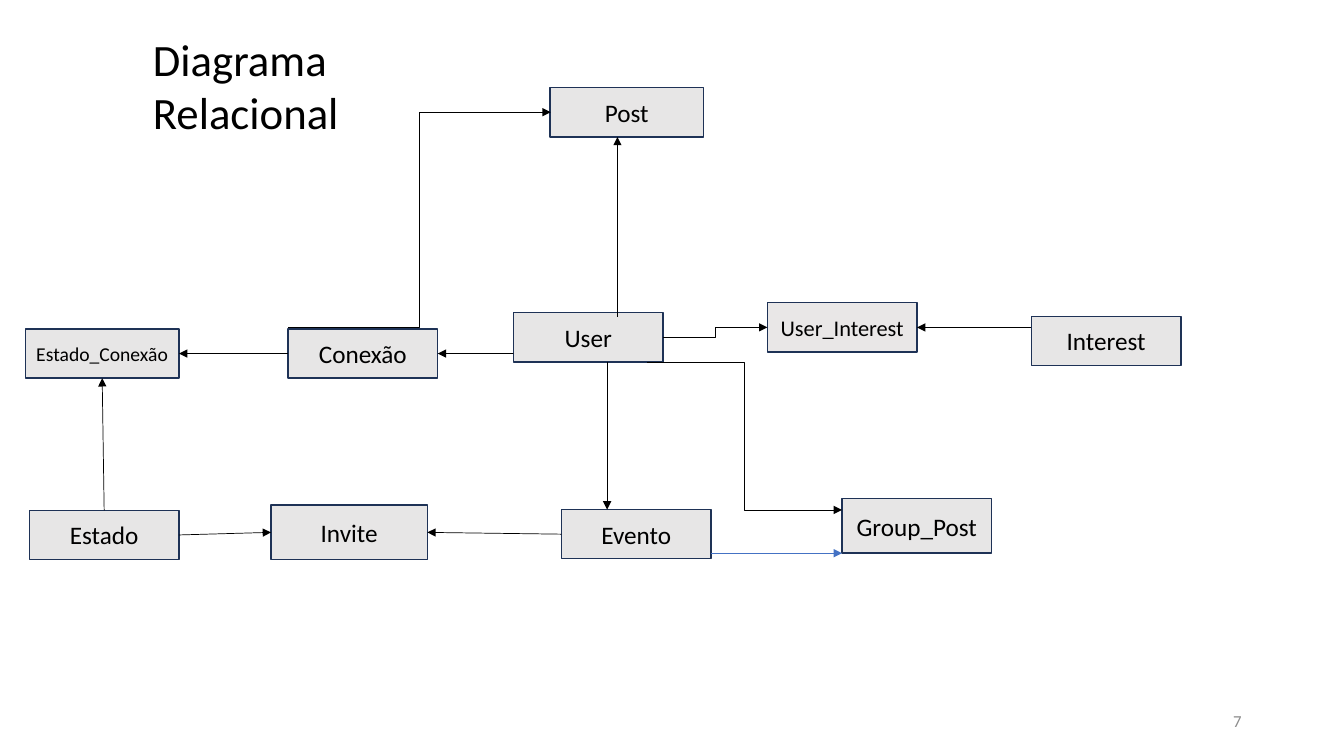
from lxml import etree
from pptx import Presentation
from pptx.dml.color import RGBColor
from pptx.enum.shapes import MSO_CONNECTOR, MSO_SHAPE
from pptx.enum.text import MSO_ANCHOR, MSO_AUTO_SIZE, PP_ALIGN
from pptx.oxml.ns import qn
from pptx.util import Cm, Pt

RECT = MSO_SHAPE.RECTANGLE
STRAIGHT, ELBOW = MSO_CONNECTOR.STRAIGHT, MSO_CONNECTOR.ELBOW
LEFT, CENTER, RIGHT = PP_ALIGN.LEFT, PP_ALIGN.CENTER, PP_ALIGN.RIGHT
TOP, MIDDLE = MSO_ANCHOR.TOP, MSO_ANCHOR.MIDDLE
N, W, S, E = range(4)  # connection sites of a rectangle

BLACK = RGBColor(0x00, 0x00, 0x00)
GRAY = RGBColor(0x8C, 0x8C, 0x8C)
BOX_FILL = RGBColor(0xE7, 0xE6, 0xE6)
INTEREST_FILL = RGBColor(0xE9, 0xE7, 0xE7)
BOX_LINE = RGBColor(0x1E, 0x32, 0x56)
BLUE = RGBColor(0x44, 0x72, 0xC4)

BOX_W, WIDE_W, BOX_H, TALL_H = 3.77, 3.87, 1.24, 1.37

# Tables: name, left, top, width, height, font size, fill (cm inside the diagram)
TABLES = [
    ("User_Interest", 18.7, 5.42, BOX_W, BOX_H, 16, INTEREST_FILL),
    ("User", 12.3, 5.67, BOX_W, BOX_H, 18, BOX_FILL),
    ("Conexão", 6.62, 6.08, BOX_W, BOX_H, 18, BOX_FILL),
    ("Estado", 0.1, 10.65, BOX_W, BOX_H, 18, BOX_FILL),
    ("Invite", 6.19, 10.52, 3.94, TALL_H, 18, BOX_FILL),
    ("Evento", 13.51, 10.63, BOX_W, BOX_H, 18, BOX_FILL),
    ("Group_Post", 20.58, 10.36, BOX_W, TALL_H, 18, BOX_FILL),
    ("Interest", 25.35, 5.76, BOX_W, BOX_H, 18, BOX_FILL),
    ("Estado_Conexão", 0, 6.08, WIDE_W, BOX_H, 14, BOX_FILL),
    ("Post", 13.22, 0, WIDE_W, BOX_H, 18, BOX_FILL),
]

# Relations: kind, start, end, colour; an end is (table, site) or a point
RELATIONS = [
    (STRAIGHT, (14.92, 5.77), (14.92, 1.24), BLACK),
    (ELBOW, (6.62, 6.04), (13.24, 0.62), BLACK),
    (STRAIGHT, (12.3, 6.7), ("Conexão", E), BLACK),
    (ELBOW, ("User", E), ("User_Interest", W), BLACK),
    (STRAIGHT, (25.35, 6.04), ("User_Interest", E), BLACK),
    (STRAIGHT, ("Conexão", W), ("Estado_Conexão", E), BLACK),
    (STRAIGHT, ("Estado", N), ("Estado_Conexão", S), BLACK),
    (STRAIGHT, ("Estado", E), ("Invite", W), BLACK),
    (STRAIGHT, ("Evento", W), ("Invite", E), BLACK),
    (STRAIGHT, (14.66, 6.91), (14.66, 10.63), BLACK),
    (ELBOW, (15.67, 6.91), (20.58, 10.64), BLACK),
    (STRAIGHT, (17.28, 11.73), (20.58, 11.73), BLUE),
]


def write(sp, text, size=18, color=BLACK, align=CENTER, anchor=MIDDLE):
    tf = sp.text_frame
    tf.word_wrap = True
    tf.auto_size = MSO_AUTO_SIZE.NONE
    tf.vertical_anchor = anchor
    for i, line in enumerate(text.split("\n")):
        p = tf.add_paragraph() if i else tf.paragraphs[0]
        p.alignment = align
        r = p.add_run()
        r.text = line
        r.font.size = Pt(size)
        r.font.name = "Calibri"
        r.font.color.rgb = color


def add_title(s, left, top, width, height):
    sp = s.shapes.title
    sp.left, sp.top, sp.width, sp.height = map(Cm, (left, top, width, height))
    write(sp, "Diagrama\nRelacional", size=32, align=LEFT, anchor=TOP)


def add_table_box(s, left, top, width, height, name, size, fill):
    sp = s.shapes.add_shape(RECT, Cm(left), Cm(top), Cm(width), Cm(height))
    sp.shadow.inherit = False
    sp.fill.solid()
    sp.fill.fore_color.rgb = fill
    sp.line.color.rgb = BOX_LINE
    sp.line.width = Pt(1)
    write(sp, name, size=size)
    return sp


def add_relation(s, left, top, boxes, kind, start, end, color):
    def point(place):
        if place[0] in boxes:
            sp, site = boxes[place[0]], place[1]
            dx = {N: 0.5, W: 0, S: 0.5, E: 1}[site]
            dy = {N: 0, W: 0.5, S: 1, E: 0.5}[site]
            return int(sp.left + dx * sp.width), int(sp.top + dy * sp.height)
        return Cm(left + place[0]), Cm(top + place[1])

    c = s.shapes.add_connector(kind, *point(start), *point(end))
    for place, connect in ((start, c.begin_connect), (end, c.end_connect)):
        if place[0] in boxes:
            connect(boxes[place[0]], place[1])
    c.line.color.rgb = color
    c.line.width = Pt(0.5)
    # Arrowhead and no shadow
    etree.SubElement(c.line._get_or_add_ln(), qn("a:tailEnd"), type="triangle")
    etree.SubElement(c._element.spPr, qn("a:effectLst"))


def add_diagram(s, left, top):
    boxes = {}
    for name, x, y, width, height, size, fill in TABLES:
        boxes[name] = add_table_box(
            s, left + x, top + y, width, height, name, size, fill)
    for relation in RELATIONS:
        add_relation(s, left, top, boxes, *relation)


def add_page_number(s, left, top, width, height):
    sp = s.shapes.add_textbox(Cm(left), Cm(top), Cm(width), Cm(height))
    write(sp, "7", size=12, color=GRAY, align=RIGHT)


def main():
    prs = Presentation()
    prs.slide_width, prs.slide_height = Cm(33.87), Cm(19.05)
    s = prs.slides.add_slide(prs.slide_layouts[5])
    add_page_number(s, 23.92, 17.65, 7.62, 1.02)
    add_diagram(s, 0.64, 2.21)
    add_title(s, 3.6, 0.66, 7.34, 3)
    prs.save("out.pptx")


if __name__ == "__main__":
    main()
